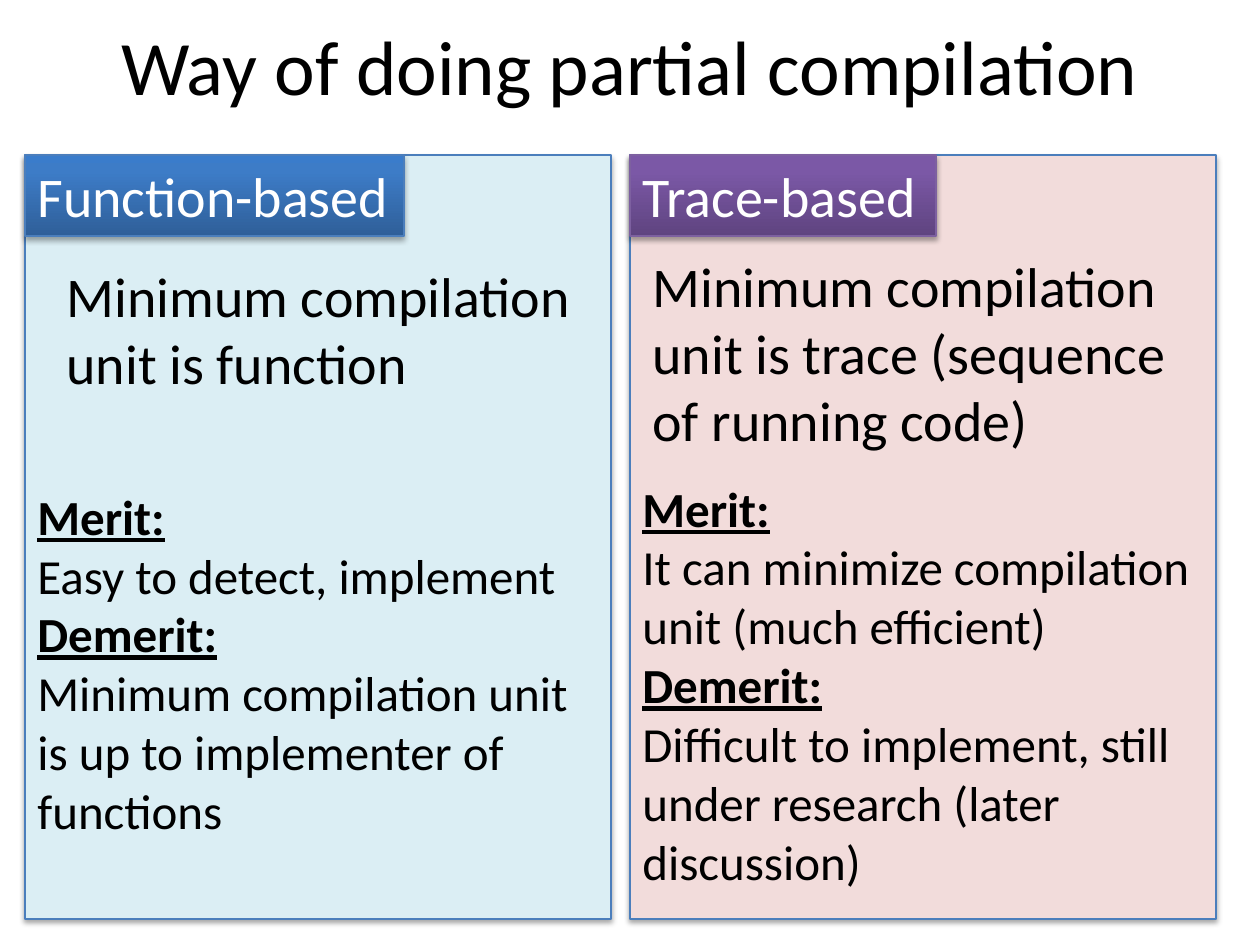
from pptx import Presentation
from pptx.dml.color import RGBColor
from pptx.enum.shapes import MSO_SHAPE
from pptx.enum.text import MSO_ANCHOR, MSO_AUTO_SIZE, PP_ALIGN
from pptx.oxml import parse_xml
from pptx.oxml.ns import nsdecls
from pptx.util import Pt

PX = 914400 / 126
RECT = MSO_SHAPE.RECTANGLE
MIDDLE, TOP = MSO_ANCHOR.MIDDLE, MSO_ANCHOR.TOP
CENTER, LEFT = PP_ALIGN.CENTER, PP_ALIGN.LEFT
GROW = MSO_AUTO_SIZE.SHAPE_TO_FIT_TEXT

FONT = "Calibri"
BLACK = RGBColor(0x00, 0x00, 0x00)
WHITE = RGBColor(0xFF, 0xFF, 0xFF)
BLUE = RGBColor(0x4B, 0x7E, 0xBC)
PURPLE = RGBColor(0x7D, 0x60, 0xA0)
PALE_BLUE = RGBColor(0xDB, 0xEE, 0xF4)
PALE_RED = RGBColor(0xF2, 0xDC, 0xDB)
BLUE_STOPS = [(0, RGBColor(0x2F, 0x5F, 0x99)), (80, RGBColor(0x3D, 0x7C, 0xC7)),
              (100, RGBColor(0x3A, 0x7C, 0xCB))]
PURPLE_STOPS = [(0, RGBColor(0x5F, 0x44, 0x80)), (80, RGBColor(0x7B, 0x58, 0xA6)),
                (100, RGBColor(0x7C, 0x57, 0xA8))]

TITLE = "Way of doing partial compilation"
TITLE_BOX = (63, -14, 1134, 158)
PANEL_TOP, PANEL_WIDTH, PANEL_HEIGHT = 155, 586, 764
TAG_HEIGHT, DETAIL_WIDTH = 81, 576

APPROACHES = [
    {"left": 25, "panel": PALE_BLUE,
     "tag": "Function-based", "tag_width": 379, "stops": BLUE_STOPS, "tag_line": BLUE,
     "unit": ["Minimum compilation", "unit is function"],
     "unit_box": (54, 255, 536, 149), "unit_wrap": False,
     "merit": "Easy to detect, implement",
     "demerit": "Minimum compilation unit is up to implementer of functions",
     "detail_top": 480, "detail_height": 369},
    {"left": 630, "panel": PALE_RED,
     "tag": "Trace-based", "tag_width": 306, "stops": PURPLE_STOPS, "tag_line": PURPLE,
     "unit": ["Minimum compilation unit is trace (sequence of running code)"],
     "unit_box": (640, 245, 566, 217), "unit_wrap": True,
     "merit": "It can minimize compilation unit (much efficient)",
     "demerit": "Difficult to implement, still under research (later discussion)",
     "detail_top": 472, "detail_height": 428},
]


def emu(box):
    return [round(length * PX) for length in box]


def add_rectangle(slide, box, line_color):
    rectangle = slide.shapes.add_shape(RECT, *emu(box))
    rectangle.line.color.rgb = line_color
    rectangle.line.width = Pt(0.75)
    rectangle.shadow.inherit = False
    rectangle.shadow._element.effectLst.append(parse_xml(
        f'<a:outerShdw {nsdecls("a")} blurRad="{Pt(3.1)}" dist="{Pt(1.8)}" '
        'dir="5400000" rotWithShape="0"><a:srgbClr val="000000">'
        '<a:alpha val="35000"/></a:srgbClr></a:outerShdw>'))
    return rectangle


def fill_upward(shape, stops):
    """Fill with a gradient whose first stop lies at the bottom edge."""
    marks = "".join(f'<a:gs pos="{percent * 1000}"><a:srgbClr val="{color}"/></a:gs>'
                    for percent, color in stops)
    gradient = parse_xml(f'<a:gradFill {nsdecls("a")} rotWithShape="1"><a:gsLst>{marks}'
                         '</a:gsLst><a:lin ang="16200000" scaled="0"/></a:gradFill>')
    shape.element.spPr.find("{*}prstGeom").addnext(gradient)


def write(shape, lines, size, color=BLACK, align=LEFT, anchor=TOP, wrap=True, grow=True):
    """Put in one paragraph for each (text, is_heading) pair."""
    frame = shape.text_frame
    frame.word_wrap = wrap
    frame.vertical_anchor = anchor
    if grow:
        frame.auto_size = GROW
    for index, (text, is_heading) in enumerate(lines):
        paragraph = frame.add_paragraph() if index else frame.paragraphs[0]
        paragraph.alignment = align
        run = paragraph.add_run()
        run.text = text
        run.font.name = FONT
        run.font.size = Pt(size)
        run.font.color.rgb = color
        run.font.bold = run.font.underline = is_heading


def add_text(slide, box, lines, size, **style):
    write(slide.shapes.add_textbox(*emu(box)), lines, size, **style)


def add_approach(slide, approach):
    left = approach["left"]
    panel = add_rectangle(slide, (left, PANEL_TOP, PANEL_WIDTH, PANEL_HEIGHT), BLUE)
    panel.fill.solid()
    panel.fill.fore_color.rgb = approach["panel"]

    tag = add_rectangle(slide, (left, PANEL_TOP, approach["tag_width"], TAG_HEIGHT),
                        approach["tag_line"])
    fill_upward(tag, approach["stops"])
    write(tag, [(approach["tag"], False)], 32, color=WHITE, wrap=False)

    add_text(slide, approach["unit_box"], [(line, False) for line in approach["unit"]],
             32, wrap=approach["unit_wrap"])
    details = [("Merit:", True), (approach["merit"], False),
               ("Demerit:", True), (approach["demerit"], False)]
    add_text(slide, (left, approach["detail_top"], DETAIL_WIDTH, approach["detail_height"]),
             details, 28)


def main():
    deck = Presentation()
    deck.slide_width, deck.slide_height = emu((1260, 945))
    slide = deck.slides.add_slide(deck.slide_layouts[6])
    add_text(slide, TITLE_BOX, [(TITLE, False)], 44, align=CENTER, anchor=MIDDLE, grow=False)
    for approach in APPROACHES:
        add_approach(slide, approach)
    deck.save("out.pptx")


if __name__ == "__main__":
    main()
